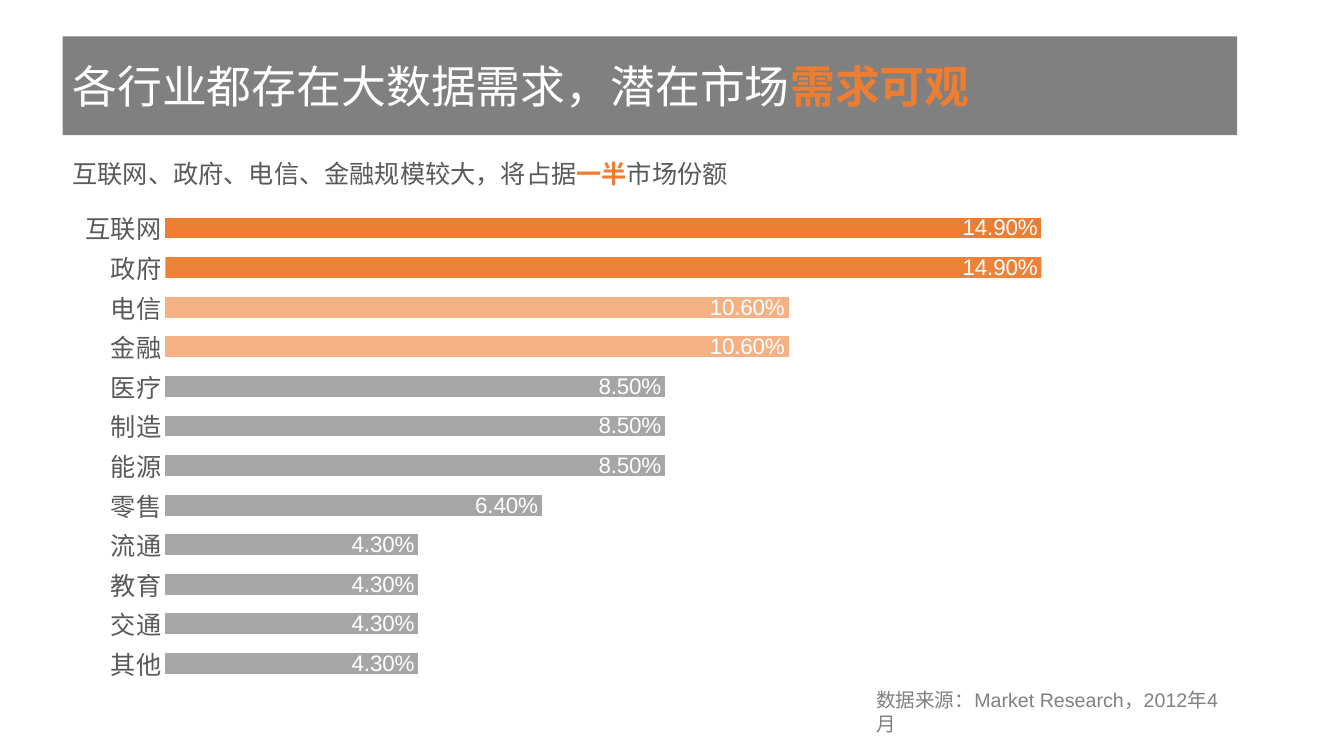
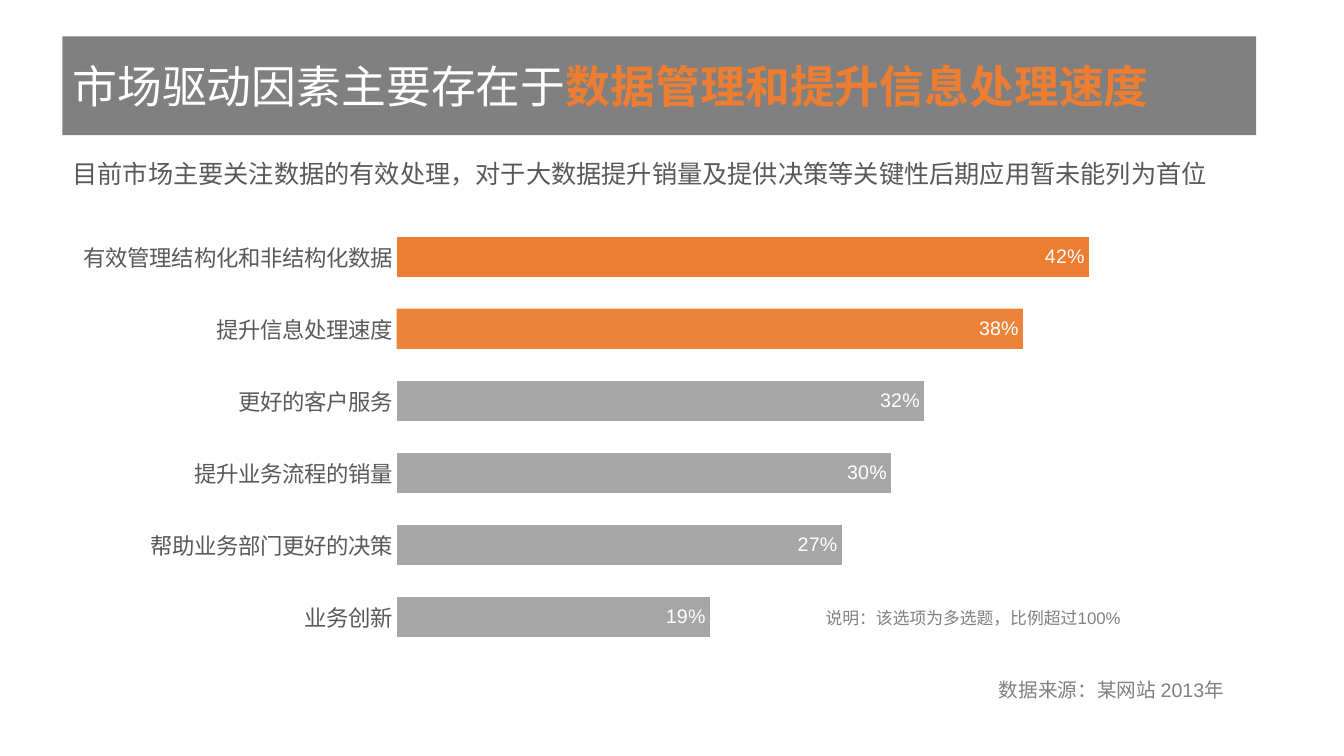
import pptx
import pptx.util
import pptx.chart.data
import pptx.dml.color
import pptx.enum.chart
import pptx.enum.shapes
import pptx.enum.text
import pptx.oxml.ns
from dataclasses import dataclass
from lxml import etree


@dataclass(frozen=True)
class Theme:
    band: str = "808080"
    white: str = "FFFFFF"
    accent: str = "ED7D31"
    soft_accent: str = "F4B183"
    bar: str = "A6A6A6"
    body: str = "595959"
    note: str = "808080"
    cjk: str = "Noto Sans CJK SC"
    latin: str = "Arial"
    title_size: int = 32
    lead_size: int = 18
    source_size: int = 14
    remark_size: int = 12
    second_bar_opacity: int = 96


THEME = Theme()
LEFT = 0.62
TITLE_TOP, TITLE_HEIGHT = 0.36, 0.98
LEAD_TOP, LEAD_HEIGHT = 1.37, 0.5

# Content: text is a list of (words, emphasised) pairs; boxes are left, top, width, height
SLIDES = [
    dict(
        title=[("各行业都存在大数据需求，潜在市场", False), ("需求可观", True)],
        title_width=11.65,
        lead=[("互联网、政府、电信、金融规模较大，将占据", False), ("一半", True),
              ("市场份额", False)],
        lead_width=11.38,
        shares=[("互联网", 0.149), ("政府", 0.149), ("电信", 0.106), ("金融", 0.106),
                ("医疗", 0.085), ("制造", 0.085), ("能源", 0.085), ("零售", 0.064),
                ("流通", 0.043), ("教育", 0.043), ("交通", 0.043), ("其他", 0.043)],
        chart=dict(box=(LEFT, 1.92, 10.51, 4.86), plot=(0.097, 0.03, 0.888, 0.97),
                   top=0.16, gap=90, format="0.00%", category_size=18, label_size=16,
                   highlights=[THEME.accent] * 2 + [THEME.soft_accent] * 2),
        notes=[("数据来源：Market Research，2012年4月", (8.59, 6.78, 3.68, 0.34),
                THEME.source_size)],
    ),
    dict(
        title=[("市场驱动因素主要存在于", False), ("数据管理和提升信息处理速度", True)],
        title_width=11.84,
        lead=[("目前市场主要关注数据的有效处理，对于大数据提升销量及提供决策等关键性"
               "后期应用暂未能列为首位", False)],
        lead_width=11.84,
        shares=[("有效管理结构化和非结构化数据", 0.42), ("提升信息处理速度", 0.38),
                ("更好的客户服务", 0.32), ("提升业务流程的销量", 0.30),
                ("帮助业务部门更好的决策", 0.27), ("业务创新", 0.19)],
        chart=dict(box=(LEFT, 2.1, 10.9, 4.47), plot=(0.304, 0.02, 0.675, 0.96),
                   top=0.45, gap=80, format="0%", category_size=16, label_size=14,
                   highlights=[THEME.accent] * 2),
        notes=[("数据来源：某网站 2013年", (9.81, 6.68, 2.46, 0.34), THEME.source_size),
               ("说明：该选项为多选题，比例超过100%", (8.09, 5.98, 3.15, 0.3),
                THEME.remark_size)],
    ),
]


def rgb(color):
    return pptx.dml.color.RGBColor.from_string(color)


def inches(box):
    return [pptx.util.Inches(length) for length in box]


def style_font(font, size, name, color=None):
    font.size = pptx.util.Pt(size)
    font.name = name
    if color:
        font.color.rgb = rgb(color)


def write(frame, pieces, size, name, color):
    """Fill the frame with one paragraph; emphasised pieces are bold accents."""
    frame.word_wrap = True
    paragraph = frame.paragraphs[0]
    paragraph.alignment = pptx.enum.text.PP_ALIGN.LEFT
    style_font(paragraph.font, size, name)
    latin = paragraph._p.find(".//" + pptx.oxml.ns.qn("a:latin"))
    east_asian = etree.Element(pptx.oxml.ns.qn("a:ea"), typeface=THEME.cjk)
    latin.addnext(east_asian)
    for words, emphasised in pieces:
        run = paragraph.add_run()
        run.text = words
        run.font.bold = emphasised
        run.font.color.rgb = rgb(THEME.accent if emphasised else color)
    return paragraph


def add_title(slide, pieces, width):
    band = slide.shapes.add_shape(pptx.enum.shapes.MSO_SHAPE.RECTANGLE,
                                  *inches((LEFT, TITLE_TOP, width, TITLE_HEIGHT)))
    band.shadow.inherit = False
    band.fill.solid()
    band.fill.fore_color.rgb = rgb(THEME.band)
    band.line.fill.background()
    band.text_frame.vertical_anchor = pptx.enum.text.MSO_ANCHOR.MIDDLE
    write(band.text_frame, pieces, THEME.title_size, THEME.cjk, THEME.white)


def add_text(slide, pieces, box, size, name, color):
    frame = slide.shapes.add_textbox(*inches(box)).text_frame
    frame.auto_size = pptx.enum.text.MSO_AUTO_SIZE.SHAPE_TO_FIT_TEXT
    return write(frame, pieces, size, name, color)


def place_plot(chart, plot):
    """Pin the inner plot area to shares of the chart's size."""
    qn = pptx.oxml.ns.qn
    area = chart._chartSpace.chart.plotArea
    for old in area.findall(qn("c:layout")):
        area.remove(old)
    layout = etree.Element(qn("c:layout"))
    area.insert(0, layout)
    manual = etree.SubElement(layout, qn("c:manualLayout"))
    settings = [("layoutTarget", "inner"), ("xMode", "edge"), ("yMode", "edge")]
    settings += zip("xywh", map(str, plot))
    for tag, value in settings:
        etree.SubElement(manual, qn("c:" + tag), val=value)


def add_bars(slide, shares, look):
    chart_enums = pptx.enum.chart
    data = pptx.chart.data.CategoryChartData(number_format=look["format"])
    data.categories = [category for category, _ in shares]
    data.add_series("Series 1", [share for _, share in shares])
    chart = slide.shapes.add_chart(chart_enums.XL_CHART_TYPE.BAR_CLUSTERED,
                                   *inches(look["box"]), data).chart
    chart.has_legend = False
    chart.has_title = False
    style_font(chart.font, 10, THEME.latin, "000000")
    place_plot(chart, look["plot"])

    # Axes
    categories = chart.category_axis
    categories.reverse_order = True
    categories.has_major_gridlines = False
    categories.major_tick_mark = chart_enums.XL_TICK_MARK.NONE
    categories.format.line.fill.background()
    style_font(categories.tick_labels.font, look["category_size"], THEME.latin, THEME.body)
    values = chart.value_axis
    values.minimum_scale, values.maximum_scale = 0, look["top"]
    values.has_major_gridlines = False
    values.visible = False

    # Bars
    plot = chart.plots[0]
    plot.gap_width = look["gap"]
    plot.vary_by_categories = False
    bars = plot.series[0]
    bars.format.fill.solid()
    bars.format.fill.fore_color.rgb = rgb(THEME.bar)
    for index, color in enumerate(look["highlights"]):
        fill = bars.points[index].format.fill
        fill.solid()
        fill.fore_color.rgb = rgb(color)
    second = bars.points[1].format.fill._xPr.find(".//" + pptx.oxml.ns.qn("a:srgbClr"))
    etree.SubElement(second, pptx.oxml.ns.qn("a:alpha"),
                     val=str(THEME.second_bar_opacity * 1000))

    # Value labels
    labels = bars.data_labels
    labels.show_value = True
    labels.position = chart_enums.XL_LABEL_POSITION.INSIDE_END
    labels.number_format = look["format"]
    labels.number_format_is_linked = False
    style_font(labels.font, look["label_size"], THEME.latin, THEME.white)


def main():
    deck = pptx.Presentation()
    deck.slide_width, deck.slide_height = inches((13.33, 7.5))
    for content in SLIDES:
        slide = deck.slides.add_slide(deck.slide_layouts[6])
        add_title(slide, content["title"], content["title_width"])
        add_bars(slide, content["shares"], content["chart"])
        lead = add_text(slide, content["lead"],
                        (LEFT, LEAD_TOP, content["lead_width"], LEAD_HEIGHT),
                        THEME.lead_size, THEME.cjk, THEME.body)
        lead.line_spacing = 1.5
        for words, box, size in content["notes"]:
            add_text(slide, [(words, False)], box, size, THEME.latin, THEME.note)
    deck.save("out.pptx")


if __name__ == "__main__":
    main()
